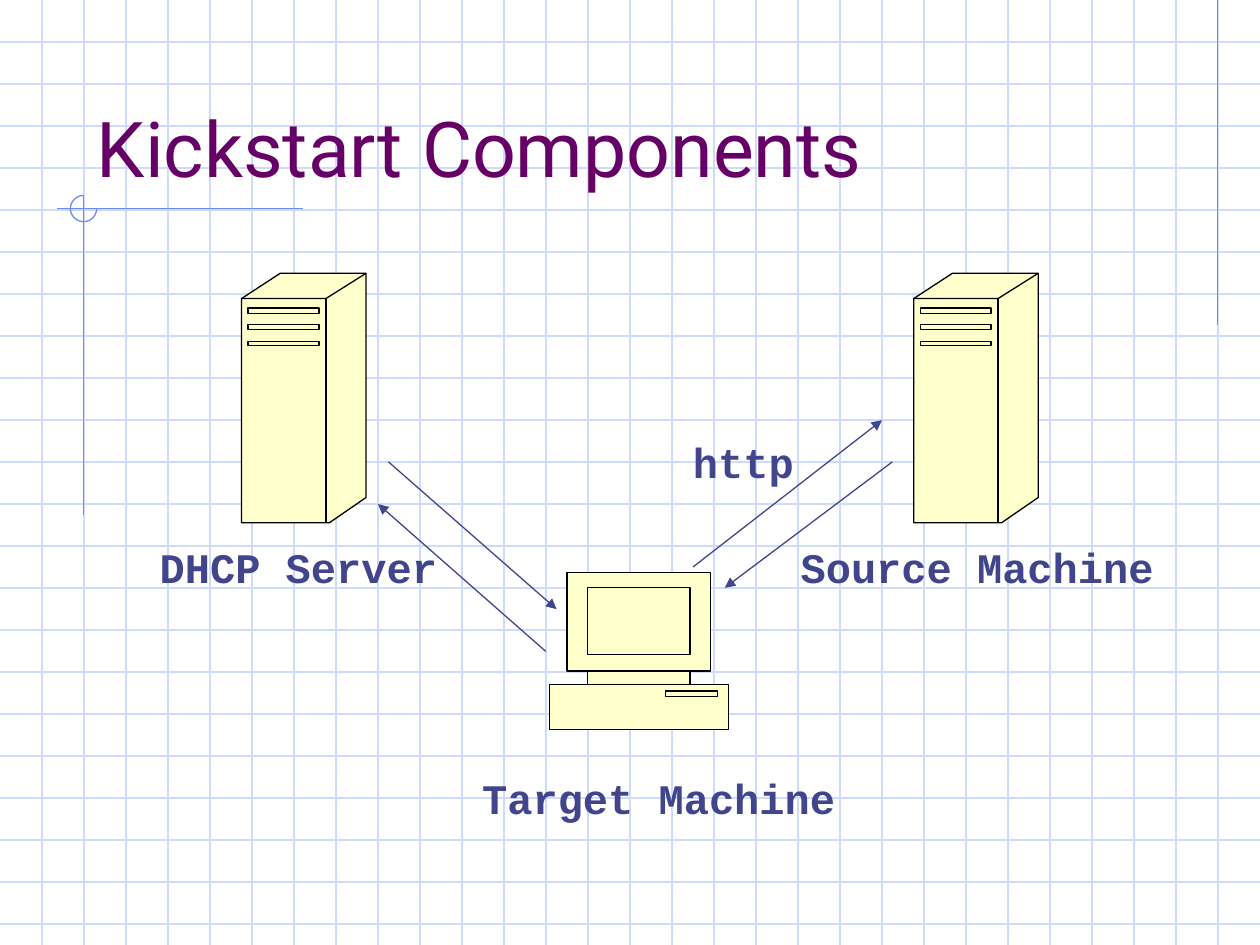
from copy import deepcopy
from lxml.etree import SubElement
from pptx import Presentation
from pptx.dml.color import RGBColor
from pptx.enum.shapes import MSO_CONNECTOR, MSO_SHAPE
from pptx.enum.text import MSO_ANCHOR, MSO_AUTO_SIZE, PP_ALIGN
from pptx.oxml.ns import qn
from pptx.util import Cm, Pt

WIDE, HIGH = 25.4, 19.05
STEP = 2.54 / 3
CHAR = 0.508


def color(code):
    return RGBColor.from_string(code)


def write(frame, text, font="Courier New", size=24, ink="40458C", bold=False):
    frame.text = text
    line = frame.paragraphs[0]
    line.alignment = PP_ALIGN.LEFT
    line.font.name = font
    line.font.size = Pt(size)
    line.font.bold = bold
    line.font.color.rgb = color(ink)


def box(left, top, right, base):
    return [(left, top), (left, base), (right, base), (right, top), (left, top)]


class Sketch:
    grid = "CFDBFD"
    trim = "6F89F7"
    ink = "40458C"
    plum = "660066"
    cream = "FFFFCC"
    black = "000000"
    weight = Pt(0.75)

    def __init__(self, slide):
        self.slide = slide
        self.shapes = slide.shapes

    def stroke(self, shape, code):
        shape.line.color.rgb = color(code)
        shape.line.width = self.weight

    def line(self, start, end, code, arrow=False):
        points = [Cm(n) for n in (*start, *end)]
        link = self.shapes.add_connector(MSO_CONNECTOR.STRAIGHT, *points)
        self.stroke(link, code)
        if arrow:
            SubElement(link.line._get_or_add_ln(), qn("a:tailEnd"), type="triangle")
        SubElement(link._element.spPr, qn("a:effectLst"))

    def mesh(self):
        for n in range(1, 23):
            self.line((0, n * STEP), (WIDE, n * STEP), self.grid)
        for n in range(1, 30):
            self.line((n * STEP, 0), (n * STEP, HIGH), self.grid)

    def arc(self, left, top, size):
        ring = self.shapes.add_shape(MSO_SHAPE.ARC, Cm(left), Cm(top), Cm(size), Cm(size))
        ring.adjustments[0] = 0
        ring.adjustments[1] = 162
        ring.shadow.inherit = False
        ring.fill.background()
        self.stroke(ring, self.trim)

    def title(self, text):
        head = self.shapes.title
        self.shapes._spTree.append(head._element)
        head.left, head.top = Cm(1.7), Cm(0.84)
        head.width, head.height = Cm(21.59), Cm(3.18)
        frame = head.text_frame
        frame.auto_size = MSO_AUTO_SIZE.NONE
        frame.vertical_anchor = MSO_ANCHOR.BOTTOM
        write(frame, text, font="Roboto", size=44, ink=self.plum)

    def label(self, text, left, top):
        width = CHAR * (len(text) + 1)
        note = self.shapes.add_textbox(Cm(left), Cm(top), Cm(width), Cm(1.27))
        frame = note.text_frame
        frame.word_wrap = False
        frame.auto_size = MSO_AUTO_SIZE.SHAPE_TO_FIT_TEXT
        write(frame, text, bold=True)

    def device(self, left, top, body, parts):
        def units(points):
            return [(x * 100, y * 100) for x, y in points]

        first, *rest = units(body)
        pen = self.shapes.build_freeform(*first, scale=Cm(0.01))
        pen.add_line_segments(rest, close=True)
        for part in parts:
            first, *rest = units(part)
            pen.move_to(*first)
            pen.add_line_segments(rest, close=False)
        shape = pen.convert_to_shape(Cm(left), Cm(top))
        shape.shadow.inherit = False
        shape.fill.solid()
        shape.fill.fore_color.rgb = color(self.cream)
        self.stroke(shape, self.black)
        self.split(shape)

    def split(self, shape):
        solid = next(shape._element.iter(qn("a:path")))
        lines = deepcopy(solid)
        lines.set("fill", "none")
        solid.addnext(lines)
        count = solid.index(solid.find(qn("a:close"))) + 1
        for node in list(solid)[count:]:
            solid.remove(node)
        for node in list(lines)[:count]:
            lines.remove(node)


TOWER = [(0, 0.51), (0.78, 0), (2.51, 0), (2.51, 4.52), (1.77, 5.03), (0, 5.03)]
EDGES = [[(0, 0.51), (1.7, 0.51), (2.51, 0)], [(1.7, 0.51), (1.7, 5.03)]]
SLOTS = [box(0.13, top, 1.56, base)
         for top, base in ((0.7, 0.81), (1.03, 1.13), (1.38, 1.46))]
DESKTOP = [(2.83, 2.26), (2.83, 1.99), (3.25, 1.99), (3.25, 0), (0.35, 0), (0.35, 1.99),
           (0.77, 1.99), (0.77, 2.26), (0, 2.26), (0, 3.17), (3.61, 3.17), (3.61, 2.26)]
PANELS = [box(0.77, 1.99, 2.83, 2.26), box(0.77, 0.31, 2.83, 1.66),
          box(2.33, 2.39, 3.38, 2.5)]
TRIMS = [((24.55, 0), (24.55, 6.55)), ((6.1, 4.21), (1.15, 4.21)),
         ((1.69, 3.94), (1.69, 10.38))]
LABELS = [("Target Machine", 9.47, 15.44), ("DHCP Server", 2.97, 10.8),
          ("Source Machine", 15.89, 10.8), ("http", 13.72, 8.68)]
ARROWS = [((11, 13.13), (7.62, 10.16)), ((7.83, 9.31), (11.22, 12.28)),
          ((13.97, 11.43), (17.78, 8.47)), ((17.99, 9.31), (14.61, 11.85))]


def main():
    deck = Presentation()
    deck.slide_width, deck.slide_height = Cm(WIDE), Cm(HIGH)
    page = Sketch(deck.slides.add_slide(deck.slide_layouts[5]))
    page.mesh()
    for start, end in TRIMS:
        page.line(start, end, page.trim)
    page.arc(1.42, 3.94, 0.53)
    page.title("Kickstart Components")
    for left in (18.42, 4.87):
        page.device(left, 5.51, TOWER, EDGES + SLOTS)
    for text, left, top in LABELS:
        page.label(text, left, top)
    for start, end in ARROWS:
        page.line(start, end, page.ink, arrow=True)
    page.device(11.08, 11.54, DESKTOP, PANELS)
    deck.save("out.pptx")


if __name__ == "__main__":
    main()
